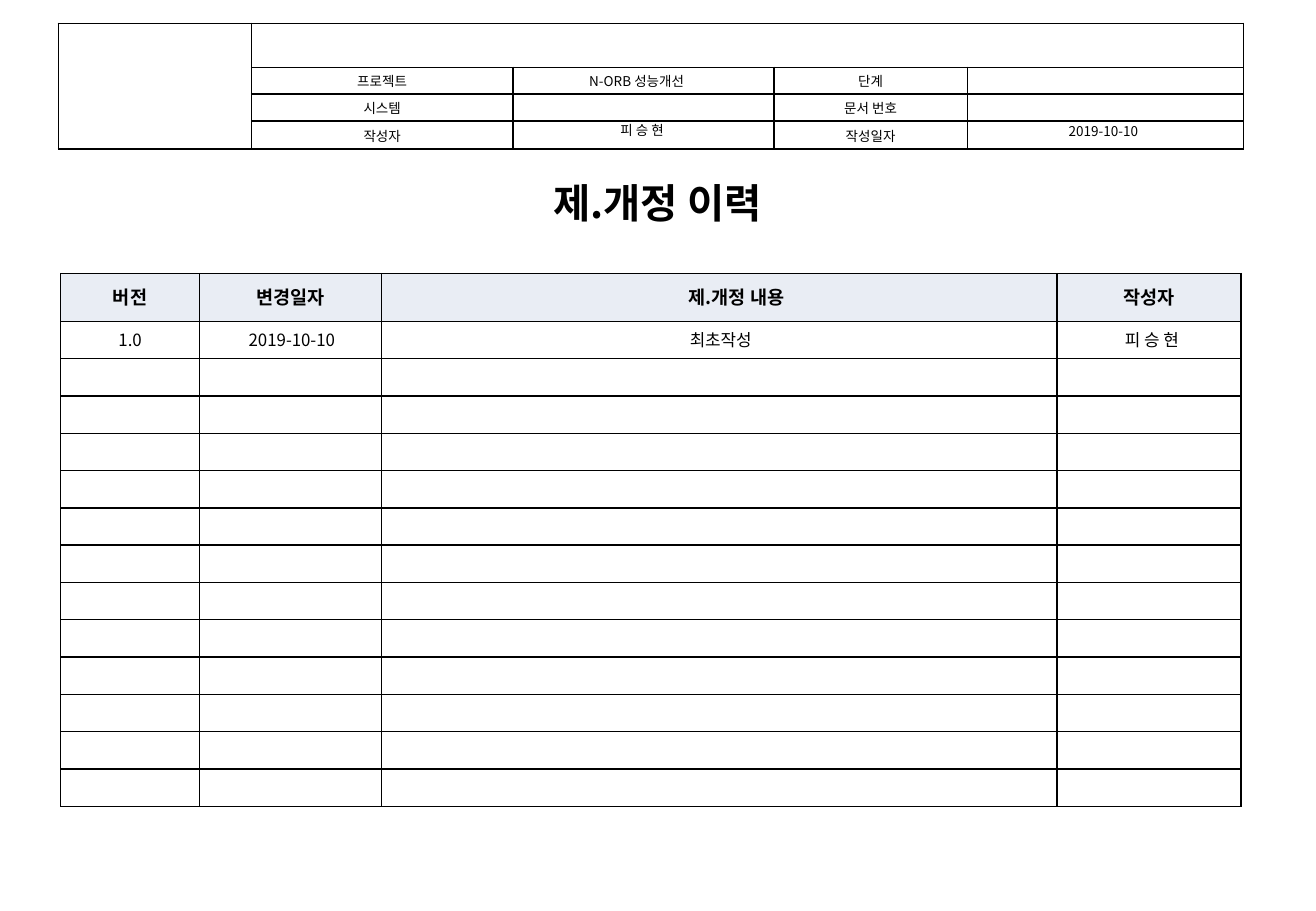
from lxml.etree import SubElement
from pptx import Presentation
from pptx.dml.color import RGBColor
from pptx.enum.text import MSO_ANCHOR as Anchor, PP_ALIGN as Align
from pptx.oxml import parse_xml
from pptx.oxml.ns import nsdecls, qn
from pptx.util import Cm, Pt

# Content
FONT = "Noto Sans CJK KR"
BLACK, WHITE, HEADING_FILL = "000000", "FFFFFF", "E9EDF4"

TITLE = "제.개정 이력"
AUTHOR, DATE = "피 승 현", "2019-10-10"

INFO_ROWS = [
    ["", "", "", "", ""],
    ["", "프로젝트", "N-ORB 성능개선", "단계", ""],
    ["", "시스템", "", "문서 번호", ""],
    ["", "작성자", "", "작성일자", ""],
]
INFO_WIDTHS = [4.04, 5.46, 5.46, 4.04, 5.77]
INFO_HEIGHTS = [0.92, 0.56, 0.56, 0.59]

HISTORY_HEADINGS = ["버전", "변경일자", "제.개정 내용", "작성자"]
HISTORY_ENTRIES = [["1.0", DATE, "최초작성", AUTHOR]]
HISTORY_WIDTHS = [2.9, 3.81, 14.12, 3.84]
HISTORY_ENTRY_COUNT = 13
HEADING_INDENTS = [0, 0, 0.71, 0]
ENTRY_INDENTS = [0, 0.05, 0.05, 0.12]

# (text, left, top, width, height, size, bold, anchor)
TEXT_BOXES = [
    (TITLE, 1.35, 3.73, 24.79, 1.27, 24, True, Anchor.TOP),
    (AUTHOR, 10.77, 2.51, 5.31, 0.43, 8, False, Anchor.MIDDLE),
    (DATE, 20.29, 2.51, 5.56, 0.48, 8, False, Anchor.MIDDLE),
]


def color(hex_value):
    return RGBColor.from_string(hex_value)


def style_paragraph(paragraph, size, bold=False, indent=0):
    paragraph.alignment = Align.CENTER
    font = paragraph.font
    font.size, font.bold, font.name = Pt(size), bold, FONT
    font.color.rgb = color(BLACK)
    properties = paragraph._p.get_or_add_pPr()
    SubElement(properties.find(qn("a:defRPr")), qn("a:ea"), typeface=FONT)
    if indent:
        properties.set("marL", str(Cm(indent)))
        properties.set("indent", "0")


def add_borders(cell):
    properties = cell._tc.get_or_add_tcPr()
    for position, side in enumerate(("lnL", "lnR", "lnT", "lnB")):
        properties.insert(position, parse_xml(
            f'<a:{side} {nsdecls("a")} w="{Pt(1)}"><a:solidFill>'
            f'<a:srgbClr val="{BLACK}"/></a:solidFill></a:{side}>'))


def fill_cell(cell, text, size, fill, side_margin=0, bold=False, indent=0):
    cell.text = text
    cell.vertical_anchor = Anchor.MIDDLE
    cell.margin_top = cell.margin_bottom = 0
    cell.margin_left = cell.margin_right = Cm(side_margin)
    cell.fill.solid()
    cell.fill.fore_color.rgb = color(fill)
    add_borders(cell)
    style_paragraph(cell.text_frame.paragraphs[0], size, bold, indent)


def add_grid(slide, left, top, widths, heights):
    table = slide.shapes.add_table(
        len(heights), len(widths), Cm(left), Cm(top),
        Cm(sum(widths)), Cm(sum(heights))).table
    table.first_row = table.horz_banding = False
    for column, width in zip(table.columns, widths):
        column.width = Cm(width)
    for row, height in zip(table.rows, heights):
        row.height = Cm(height)
    return table


presentation = Presentation()
presentation.slide_width, presentation.slide_height = Cm(27.51), Cm(19.05)
slide = presentation.slides.add_slide(presentation.slide_layouts[6])

# Document information
info = add_grid(slide, 1.22, 0.49, INFO_WIDTHS, INFO_HEIGHTS)
for row, texts in enumerate(INFO_ROWS):
    for column, text in enumerate(texts):
        fill_cell(info.cell(row, column), text, 8, WHITE)
info.cell(1, 2).margin_right = Cm(0.28)
info.cell(0, 0).merge(info.cell(3, 0))
info.cell(0, 1).merge(info.cell(0, 4))

# Revision history
blank_entries = [[""] * 4] * (HISTORY_ENTRY_COUNT - len(HISTORY_ENTRIES))
history_rows = [HISTORY_HEADINGS] + HISTORY_ENTRIES + blank_entries
history = add_grid(slide, 1.27, 5.72, HISTORY_WIDTHS,
                   [1.0] + [0.78] * HISTORY_ENTRY_COUNT)
for row, texts in enumerate(history_rows):
    heading = row == 0
    indents = HEADING_INDENTS if heading else ENTRY_INDENTS
    for column, text in enumerate(texts):
        cell = history.cell(row, column)
        fill_cell(cell, text, 11 if heading else 10,
                  HEADING_FILL if heading else WHITE,
                  0.18, heading, indents[column])
        cell.text_frame.paragraphs[0].line_spacing = Pt(14)

# Title, author and date
for text, left, top, width, height, size, bold, anchor in TEXT_BOXES:
    box = slide.shapes.add_textbox(Cm(left), Cm(top), Cm(width), Cm(height))
    frame = box.text_frame
    frame.word_wrap = True
    frame.vertical_anchor = anchor
    frame.margin_top = frame.margin_bottom = 0
    frame.text = text
    style_paragraph(frame.paragraphs[0], size, bold)

presentation.save("out.pptx")
